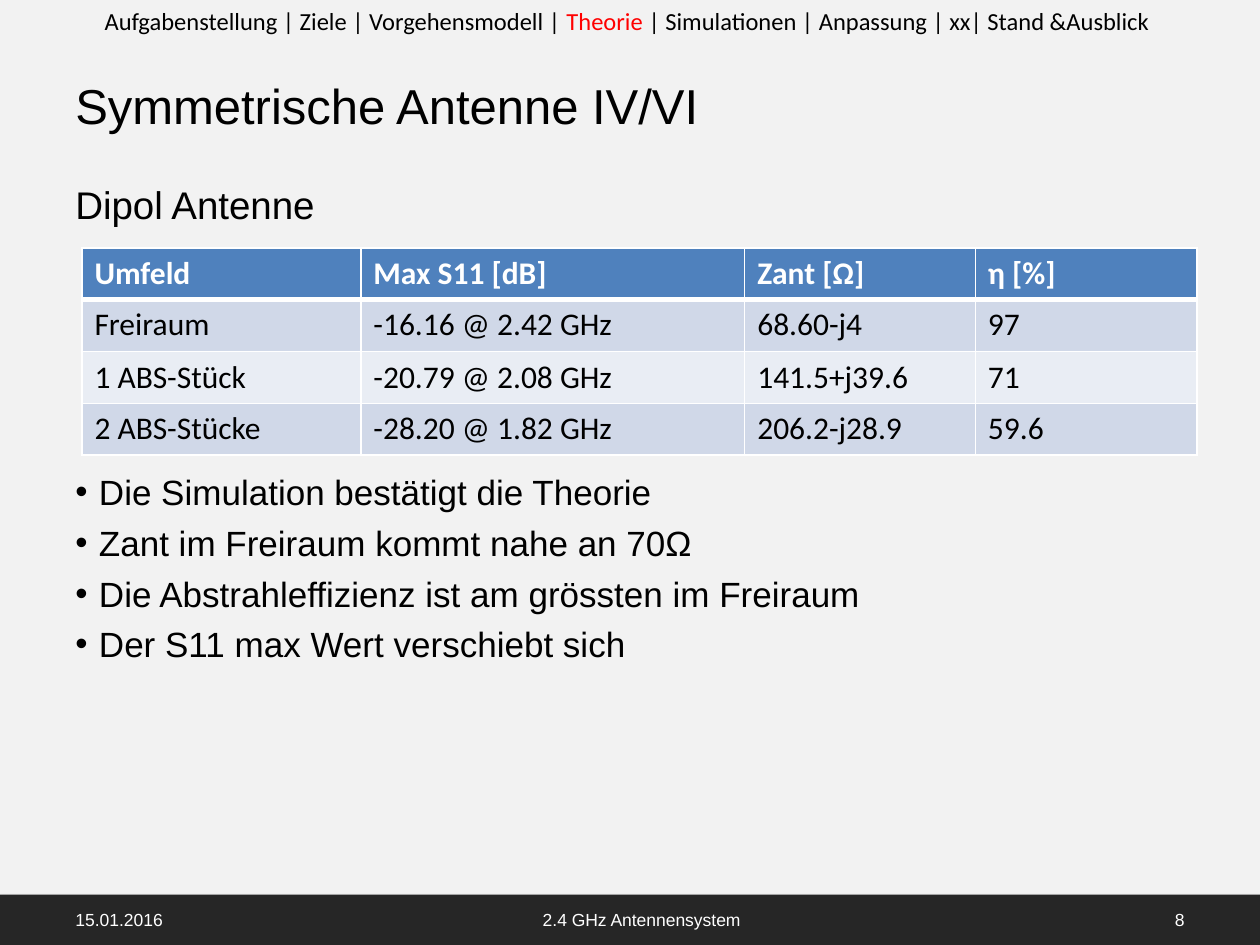
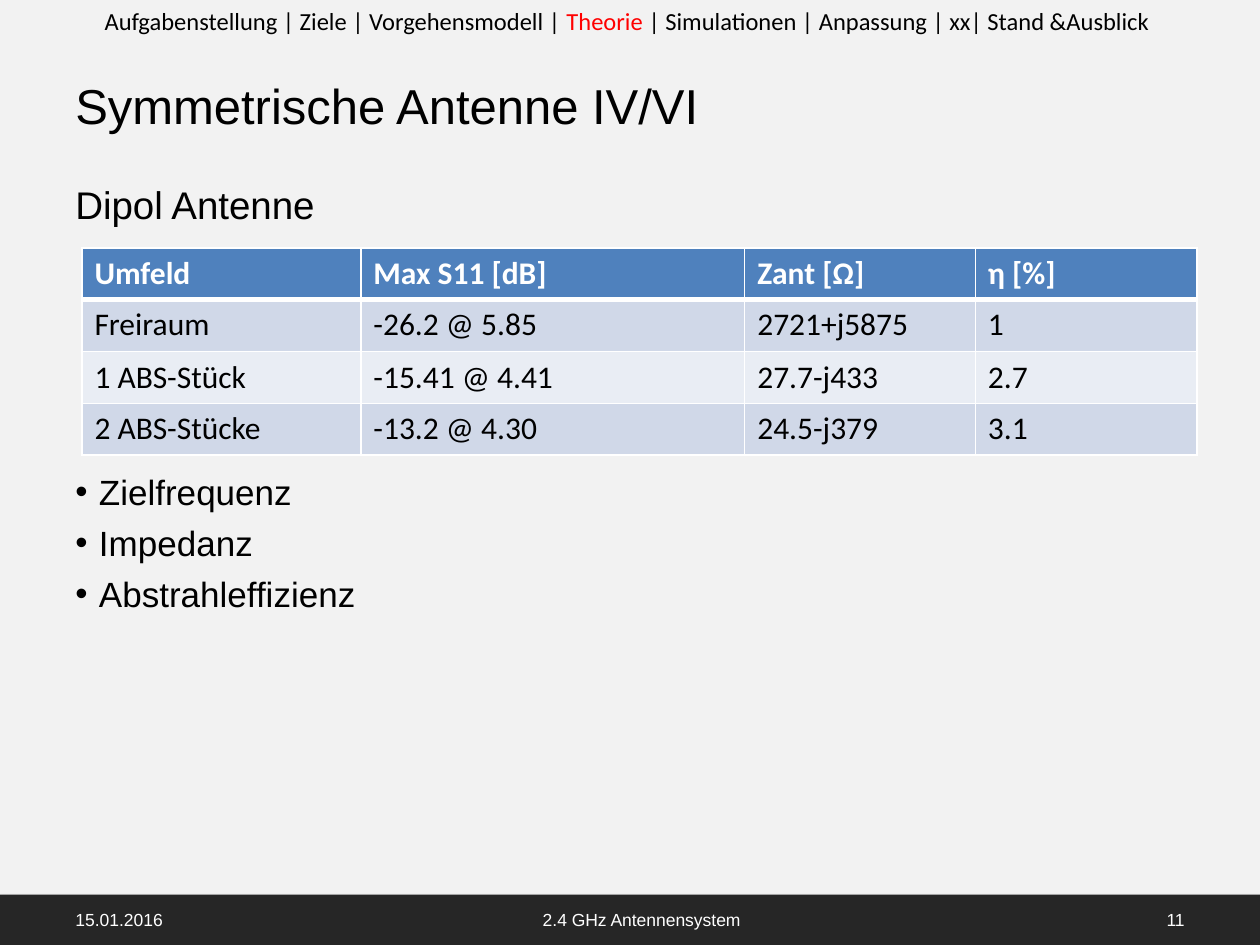
from dataclasses import dataclass
from typing import NamedTuple

from lxml.etree import SubElement
from pptx import Presentation
from pptx.dml.color import RGBColor
from pptx.enum.shapes import MSO_SHAPE
from pptx.enum.text import MSO_ANCHOR, PP_ALIGN
from pptx.oxml.ns import qn
from pptx.util import Pt

BLACK, WHITE, RED = "000000", "FFFFFF", "FF0000"
BACKGROUND, FOOTER_FILL = "F2F2F2", "262626"
HEADER_FILL, BAND_FILLS = "4F81BD", ("D0D8E8", "E9EDF4")
COLUMN_WIDTHS = (159.4, 219.4, 131.8, 126.7)
ROW_HEIGHTS = (29.2, 30, 29.5, 29.5)
COLUMN_TITLES = ("Umfeld", "Max S11 [dB]", "Zant [Ω]", "η [%]")
BULLET_INDENT = 13.5


class Area(NamedTuple):
    left: float
    top: float
    width: float
    height: float

    def lengths(self):
        return [Pt(value) for value in self]


class Style(NamedTuple):
    size: float
    font: str = "Arial"
    color: str = BLACK
    bold: bool = False


@dataclass
class Result:
    page: str
    rows: list[tuple[str, ...]]
    findings: list[str]


TITLE = Style(28)
SUBTITLE = Style(22)
FINDING = Style(20)
FOOTER = Style(10, color=WHITE)
NAVIGATION = Style(14, "Calibri")
COLUMN_TITLE = Style(18, "Calibri", WHITE, True)
CELL = Style(18, "Calibri")

CHAPTERS = (
    ("Aufgabenstellung | Ziele | Vorgehensmodell | ", NAVIGATION),
    ("Theorie ", NAVIGATION._replace(color=RED)),
    ("| Simulationen | Anpassung | xx| Stand &Ausblick ", NAVIGATION),
)

RESULTS = [
    Result(
        "8",
        [
            ("Freiraum", "-16.16 @ 2.42 GHz", "68.60-j4", "97"),
            ("1 ABS-Stück", "-20.79 @ 2.08 GHz", "141.5+j39.6", "71"),
            ("2 ABS-Stücke", "-28.20 @ 1.82 GHz", "206.2-j28.9", "59.6"),
        ],
        [
            "Die Simulation bestätigt die Theorie",
            "Zant im Freiraum kommt nahe an 70Ω",
            "Die Abstrahleffizienz ist am grössten im Freiraum",
            "Der S11 max Wert verschiebt sich",
        ],
    ),
    Result(
        "11",
        [
            ("Freiraum", "-26.2 @ 5.85", "2721+j5875", "1"),
            ("1 ABS-Stück", "-15.41 @ 4.41", "27.7-j433", "2.7"),
            ("2 ABS-Stücke", "-13.2 @ 4.30", "24.5-j379", "3.1"),
        ],
        ["Zielfrequenz", "Impedanz", "Abstrahleffizienz"],
    ),
]


def paint(target, color: str) -> None:
    target.solid()
    target.fore_color.rgb = RGBColor.from_string(color)


def add_run(paragraph, text: str, style: Style) -> None:
    run = paragraph.add_run()
    run.text = text
    run.font.size = Pt(style.size)
    run.font.name = style.font
    run.font.bold = style.bold
    paint(run.font.fill, style.color)


def add_text(slide, area: Area, runs, align=PP_ALIGN.LEFT, anchor=MSO_ANCHOR.TOP, inset: float = 3.6):
    frame = slide.shapes.add_textbox(*area.lengths()).text_frame
    frame.word_wrap = True
    frame.vertical_anchor = anchor
    frame.margin_top = Pt(inset)
    paragraph = frame.paragraphs[0]
    paragraph.alignment = align
    for text, style in runs:
        add_run(paragraph, text, style)
    return frame


def add_footer(slide, page: str) -> None:
    band = slide.shapes.add_shape(MSO_SHAPE.RECTANGLE, *Area(0, 511.2, 720, 28.8).lengths())
    band.shadow.inherit = False
    paint(band.fill, FOOTER_FILL)
    band.line.fill.background()
    effects = band.fill._xPr.find(qn("a:effectLst"))
    shadow = SubElement(effects, qn("a:outerShdw"), blurRad=str(Pt(3.1)), dist=str(Pt(1.8)), dir="5400000")
    tint = SubElement(shadow, qn("a:srgbClr"), val=BLACK)
    SubElement(tint, qn("a:alpha"), val="35000")
    for left, width, text, align in (
        (36, 168, "15.01.2016", PP_ALIGN.LEFT),
        (246, 241.2, "2.4 GHz Antennensystem", PP_ALIGN.CENTER),
        (516, 168, page, PP_ALIGN.RIGHT),
    ):
        add_text(slide, Area(left, 511.2, width, 28.8), [(text, FOOTER)], align, MSO_ANCHOR.MIDDLE)


def add_body(slide, findings: list[str]) -> None:
    frame = add_text(slide, Area(36, 98, 648, 384.5), [("Dipol Antenne", SUBTITLE)], inset=5.6)
    for index, finding in enumerate(findings):
        paragraph = frame.add_paragraph()
        paragraph.space_before = Pt(5 if index else 139)
        properties = paragraph._p.get_or_add_pPr()
        properties.set("marL", str(Pt(BULLET_INDENT)))
        properties.set("indent", str(-Pt(BULLET_INDENT)))
        SubElement(properties, qn("a:buFont"), typeface="Arial")
        SubElement(properties, qn("a:buChar"), char="•")
        add_run(paragraph, finding, FINDING)


def add_borders(cell, widths: dict[str, float]) -> None:
    properties = cell._tc.get_or_add_tcPr()
    for index, (side, width) in enumerate(widths.items()):
        border = properties.makeelement(qn(f"a:{side}"), {"w": str(Pt(width))})
        fill = SubElement(border, qn("a:solidFill"))
        SubElement(fill, qn("a:srgbClr"), val=WHITE)
        properties.insert(index, border)


def add_measurements(slide, rows: list[tuple[str, ...]]) -> None:
    area = Area(46.8, 141.8, sum(COLUMN_WIDTHS), sum(ROW_HEIGHTS))
    table = slide.shapes.add_table(len(ROW_HEIGHTS), len(COLUMN_WIDTHS), *area.lengths()).table
    for column, width in zip(table.columns, COLUMN_WIDTHS):
        column.width = Pt(width)
    for row, height in zip(table.rows, ROW_HEIGHTS):
        row.height = Pt(height)
    for row_index, values in enumerate([COLUMN_TITLES, *rows]):
        is_header = row_index == 0
        fill = HEADER_FILL if is_header else BAND_FILLS[(row_index - 1) % 2]
        top, bottom = (3 if row_index == 1 else 1), (3 if is_header else 1)
        for column_index, value in enumerate(values):
            cell = table.cell(row_index, column_index)
            paint(cell.fill, fill)
            add_borders(cell, {"lnL": 1, "lnR": 1, "lnT": top, "lnB": bottom})
            add_run(cell.text_frame.paragraphs[0], value, COLUMN_TITLE if is_header else CELL)


def add_result_slide(presentation, result: Result) -> None:
    slide = presentation.slides.add_slide(presentation.slide_layouts[6])
    paint(slide.background.fill, BACKGROUND)
    add_footer(slide, result.page)
    add_text(slide, Area(36, 37.4, 648, 41.8), [("Symmetrische Antenne IV/VI", TITLE)], inset=5.6)
    add_body(slide, result.findings)
    add_text(slide, Area(0, 0, 720, 24.5), CHAPTERS, PP_ALIGN.CENTER)
    add_measurements(slide, result.rows)


def main() -> None:
    presentation = Presentation()
    presentation.slide_width, presentation.slide_height = Pt(720), Pt(540)
    for result in RESULTS:
        add_result_slide(presentation, result)
    presentation.save("out.pptx")


if __name__ == "__main__":
    main()
